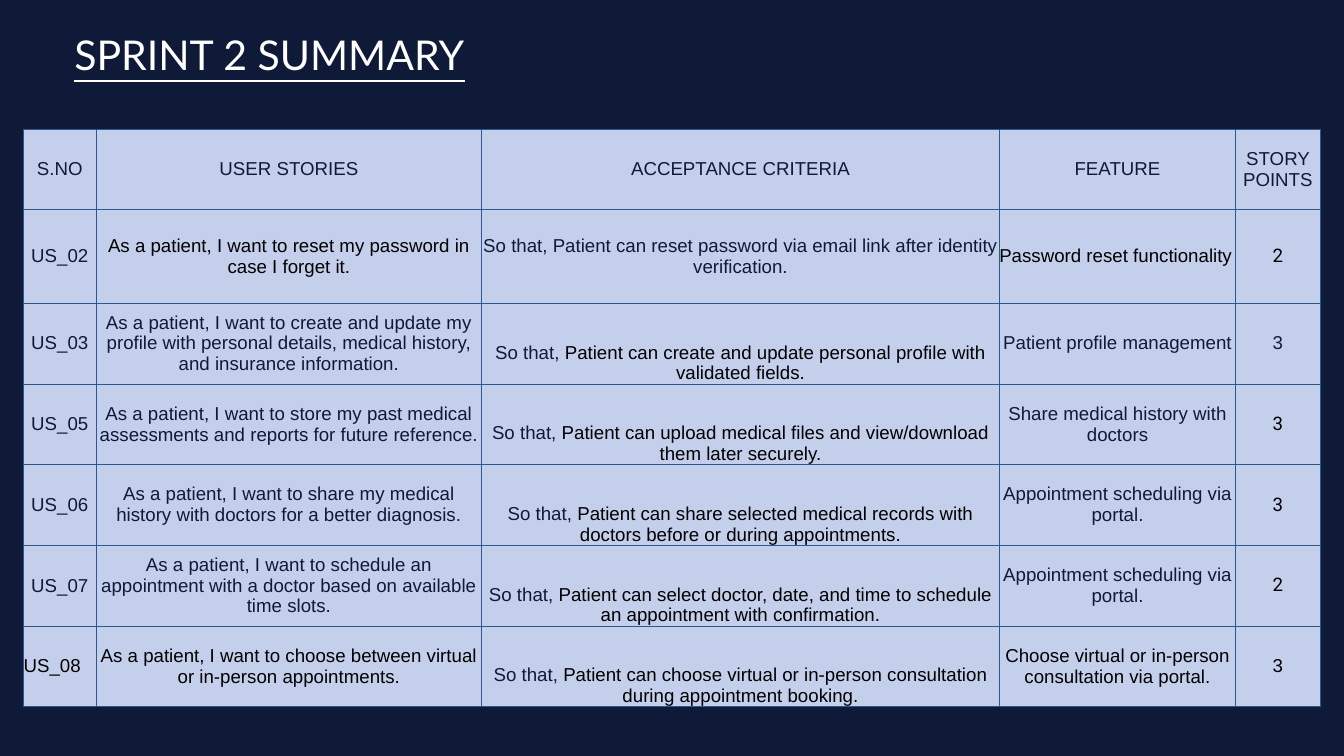
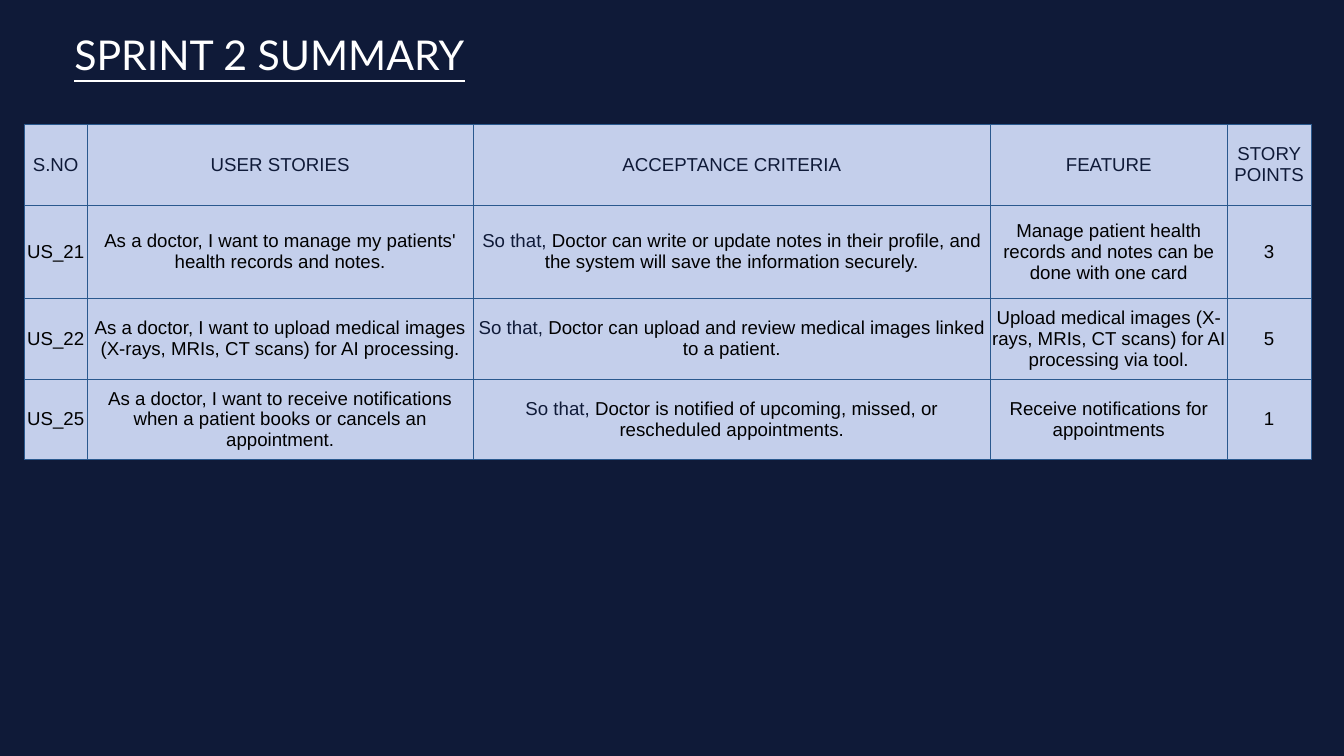
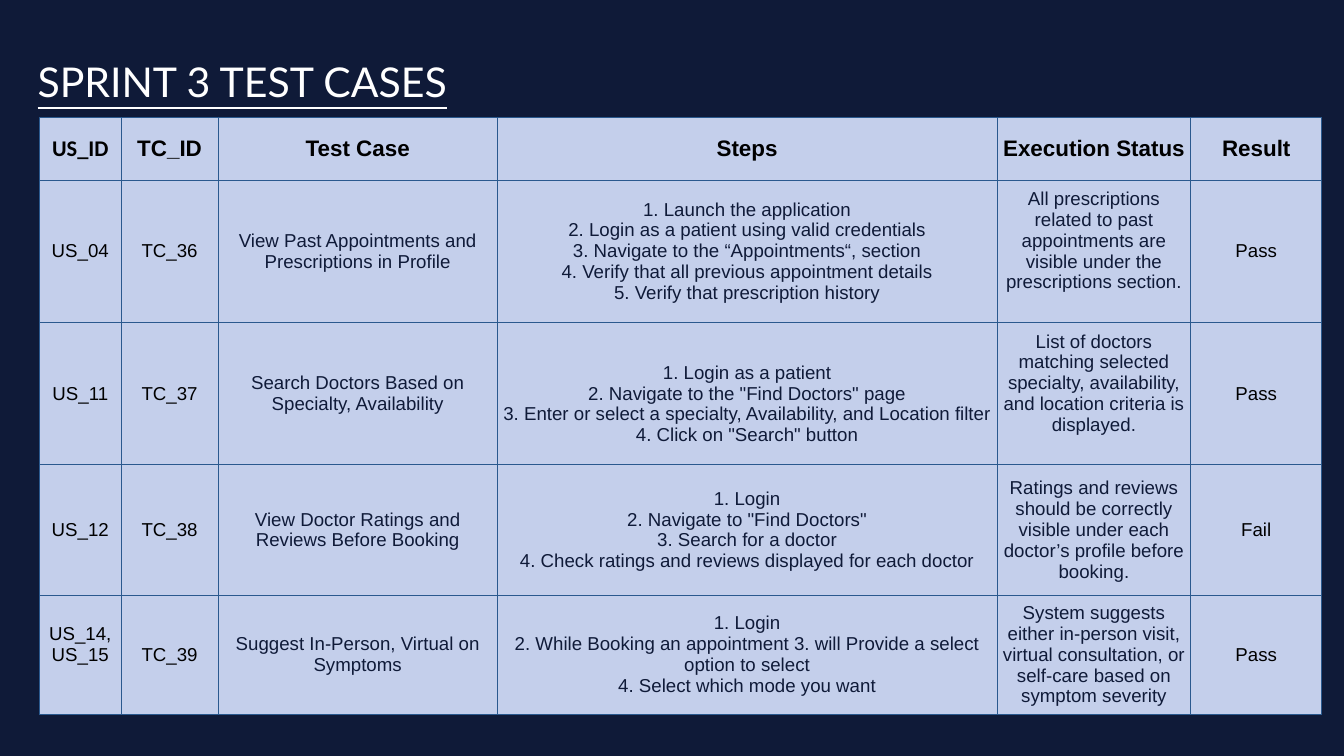
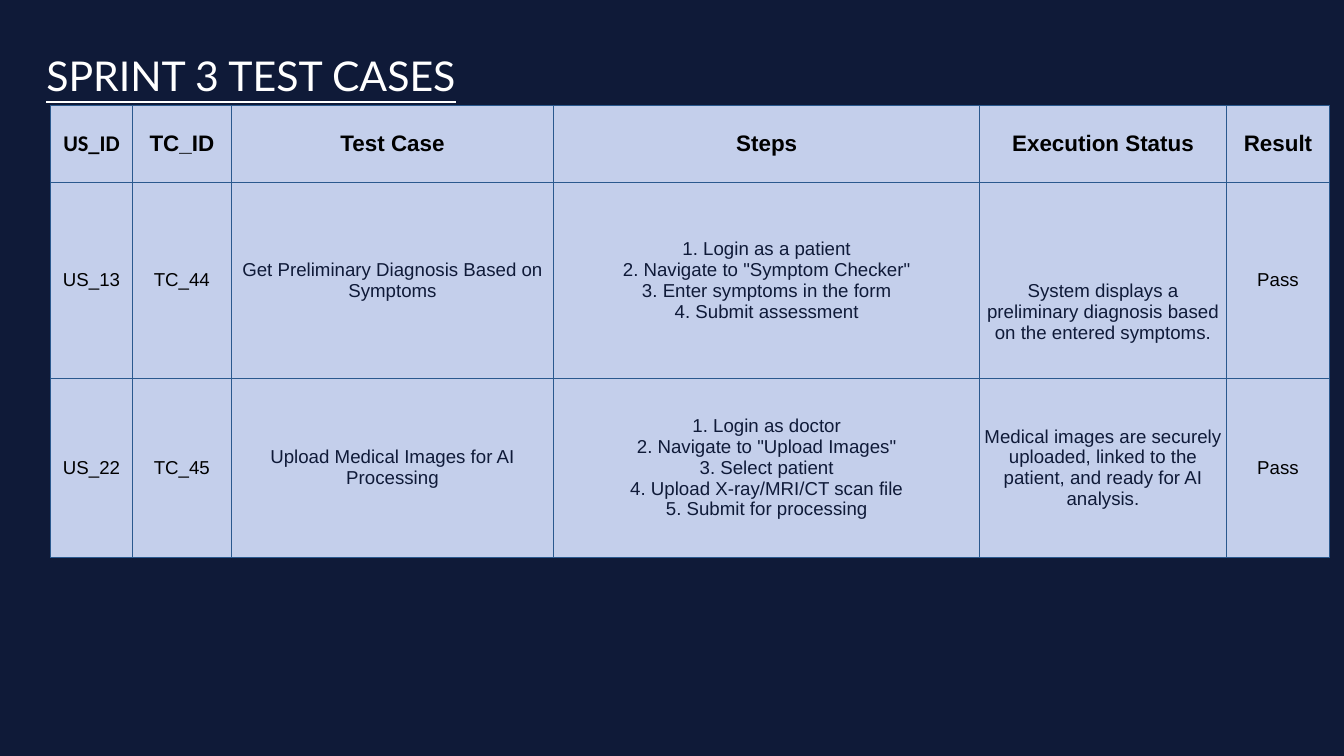
import pptx
import pptx.dml.color
import pptx.enum.text
import pptx.oxml
import pptx.oxml.ns
import pptx.util
from pptx.dml.color import RGBColor
from pptx.util import Cm

NAVY = RGBColor(0x0F, 0x1A, 0x38)
WHITE = RGBColor(0xFF, 0xFF, 0xFF)
BLACK = RGBColor(0x00, 0x00, 0x00)
CELL_BLUE = RGBColor(0xC4, 0xCF, 0xEB)
BORDER_BLUE = RGBColor(0x2A, 0x59, 0x8E)

LEFT = pptx.enum.text.PP_ALIGN.LEFT
CENTER = pptx.enum.text.PP_ALIGN.CENTER
MIDDLE = pptx.enum.text.MSO_ANCHOR.MIDDLE
BOTTOM = pptx.enum.text.MSO_ANCHOR.BOTTOM

TEXT_LINE = 0.79  # height of one table line in cm


def write(frame, text, font="Arial", size=20, color=BLACK, bold=False,
          underline=False, align=CENTER, lead="", lead_color=NAVY):
    """Fill a text frame; a newline in the text becomes a line break."""
    paragraph = frame.paragraphs[0]
    paragraph.alignment = align

    def add_words(words, words_color):
        run = paragraph.add_run()
        run.text = words
        run.font.name = font
        run.font.size = pptx.util.Pt(size)
        run.font.color.rgb = words_color
        run.font.bold = bold
        run.font.underline = underline

    if lead:
        add_words(lead, lead_color)
    for number, line in enumerate(text.split("\n")):
        if number:
            paragraph.add_line_break()
        add_words(line, color)


class Deck:
    """Holds the shared style and the slide being built."""

    def __init__(self):
        self.presentation = pptx.Presentation()
        self.presentation.slide_width = Cm(50.8)
        self.presentation.slide_height = Cm(28.58)
        self.slide = None

    def new_slide(self):
        blank = self.presentation.slide_layouts[6]
        self.slide = self.presentation.slides.add_slide(blank)
        background = self.slide.background.fill
        background.solid()
        background.fore_color.rgb = NAVY

    def title(self, text, left, top, width, align):
        box = self.slide.shapes.add_textbox(Cm(left), Cm(top), Cm(width), Cm(4.09))
        box.text_frame.word_wrap = True
        box.text_frame.vertical_anchor = MIDDLE
        write(box.text_frame, text, font="Lato", size=44, color=WHITE,
              underline=True, align=align)

    def table(self, left, top, widths, heights, header, rows, column_styles):
        """Cells are text, or (text, changes to the style of the column)."""
        grid = self.slide.shapes.add_table(
            len(heights), len(widths), Cm(left), Cm(top),
            Cm(sum(widths)), Cm(sum(heights))).table
        for column, width in zip(grid.columns, widths):
            column.width = Cm(width)
        for row, height in zip(grid.rows, heights):
            row.height = Cm(height)
        for column, content in enumerate(header):
            self.cell(grid.cell(0, column), *content)
        for row, contents in enumerate(rows, start=1):
            for column, content in enumerate(contents):
                text, changes = (content, {}) if isinstance(content, str) else content
                self.cell(grid.cell(row, column), text,
                          {**column_styles[column], **changes})

    def cell(self, cell, text, style):
        """Margins, in cm, and anchor go to the cell, the rest to its text."""
        style = dict(style)
        cell.margin_left = cell.margin_right = 0
        cell.margin_top = Cm(style.pop("above", 0))
        cell.margin_bottom = Cm(style.pop("below", 0))
        cell.vertical_anchor = style.pop("anchor", MIDDLE)
        self.border(cell)
        cell.fill.solid()
        cell.fill.fore_color.rgb = CELL_BLUE
        write(cell.text_frame, text, **style)

    def border(self, cell):
        properties = cell._tc.get_or_add_tcPr()
        for side in ("lnL", "lnR", "lnT", "lnB"):
            properties.append(pptx.oxml.parse_xml(
                f'<a:{side} {pptx.oxml.ns.nsdecls("a")} w="9525"><a:solidFill>'
                f'<a:srgbClr val="{BORDER_BLUE}"/></a:solidFill></a:{side}>'))


# Column styles and headings shared by the slides
DARK = {"color": NAVY}
PLAIN = {"color": BLACK}
SO_THAT = {"lead": "So that, "}
ROBOTO = {"font": "Roboto"}
LOWER = {"anchor": BOTTOM}
LINE_BELOW = {"below": TEXT_LINE}

STORY_HEADER = [(name, DARK) for name in (
    "S.NO", "USER STORIES", "ACCEPTANCE CRITERIA", "FEATURE", "STORY POINTS")]
STORY_WIDTHS = [14.58, 19.56, 8.94, 3.18]

HEADING = {"size": 24, "bold": True}
TEST_HEADER = [("US_ID", {**HEADING, "font": "Calibri"})] + [
    (name, HEADING) for name in (
        "TC_ID", "Test Case", "Steps", "Execution Status", "Result")]
TEST_STYLES = [PLAIN, PLAIN, DARK, DARK, DARK, PLAIN]


def sprint_summary(deck, left, top, number_width, heights, rows, styles):
    deck.new_slide()
    deck.title("SPRINT 2 SUMMARY", -0.53, 0, 21.44, CENTER)
    deck.table(left, top, [number_width] + STORY_WIDTHS, heights,
               STORY_HEADER, rows, styles)


def test_cases(deck, title_left, title_top, left, top, widths, heights, rows):
    deck.new_slide()
    deck.table(left, top, widths, heights, TEST_HEADER, rows, TEST_STYLES)
    deck.title("SPRINT 3 TEST CASES", title_left, title_top, 33.32, LEFT)


def main():
    deck = Deck()

    # Sprint 2: patient stories
    patient_stories = [
        ["US_02",
         ("As a patient, I want to reset my password in case I forget it.", PLAIN),
         ("So that, Patient can reset password via email link after identity "
          "verification.", {"lead": "", "color": NAVY, "anchor": MIDDLE}),
         ("Password reset functionality", {**PLAIN, "align": LEFT}),
         ("2", ROBOTO)],
        ["US_03",
         "As a patient, I want to create and update my profile with personal "
         "details, medical history, and insurance information.",
         "Patient can create and update personal profile with validated fields.",
         "Patient profile management",
         ("3", DARK)],
        ["US_05",
         "As a patient, I want to store my past medical assessments and reports "
         "for future reference.",
         "Patient can upload medical files and view/download them later securely.",
         "Share medical history with doctors",
         ("3", ROBOTO)],
        ["US_06",
         "As a patient, I want to share my medical history with doctors for a "
         "better diagnosis.",
         "Patient can share selected medical records with doctors before or "
         "during appointments.",
         "Appointment scheduling via portal.",
         ("3", ROBOTO)],
        ["US_07",
         "As a patient, I want to schedule an appointment with a doctor based on "
         "available time slots.",
         "Patient can select doctor, date, and time to schedule an appointment "
         "with confirmation.",
         "Appointment scheduling via portal.",
         ("2", ROBOTO)],
        [("US_08", {**PLAIN, "align": LEFT}),
         ("As a patient, I want to choose between virtual or in-person "
          "appointments.", PLAIN),
         "Patient can choose virtual or in-person consultation during "
         "appointment booking.",
         ("Choose virtual or in-person consultation via portal.", PLAIN),
         "3"],
    ]
    sprint_summary(deck, 0.89, 4.88, 2.74, [3.05, 3.53] + [3.05] * 5,
                   patient_stories, [DARK, DARK, {**SO_THAT, **LOWER}, DARK, PLAIN])

    # Sprint 2: doctor stories
    doctor_stories = [
        ["US_21",
         "As a doctor, I want to manage my patients' health records and notes.",
         "Doctor can write or update notes in their profile, and the system will "
         "save the information securely.",
         "Manage patient health records and notes can be done with one card",
         "3"],
        ["US_22",
         "As a doctor, I want to upload medical images (X-rays, MRIs, CT scans) "
         "for AI processing.",
         "Doctor can upload and review medical images linked to a patient.",
         "Upload medical images (X-rays, MRIs, CT scans) for AI processing via "
         "tool.",
         "5"],
        ["US_25",
         "As a doctor, I want to receive notifications when a patient books or "
         "cancels an appointment.",
         "Doctor is notified of upcoming, missed, or rescheduled appointments.",
         "Receive notifications for appointments",
         "1"],
    ]
    sprint_summary(deck, 0.91, 4.7, 2.39, [3.05, 3.53, 3.05, 3.05],
                   doctor_stories, [PLAIN, PLAIN, SO_THAT, PLAIN, PLAIN])

    # Sprint 3: tests of appointments and doctor search
    search_tests = [
        ["US_04", "TC_36",
         "View Past Appointments and Prescriptions in Profile",
         "1. Launch the application\n"
         "2. Login as a patient using valid credentials\n"
         "3. Navigate to the “Appointments“, section\n"
         "4. Verify that all previous appointment details\n"
         "5. Verify that prescription history",
         ("All prescriptions related to past appointments are visible under the "
          "prescriptions section.", LINE_BELOW),
         "Pass"],
        ["US_11", "TC_37",
         "Search Doctors Based on Specialty, Availability",
         ("1. Login as a patient\n"
          "2. Navigate to the \"Find Doctors\" page\n"
          "3. Enter or select a specialty, Availability, and Location filter\n"
          "4. Click on \"Search\" button", {"above": TEXT_LINE}),
         ("List of doctors matching selected specialty, availability, and "
          "location criteria is displayed.", LINE_BELOW),
         "Pass"],
        ["US_12", "TC_38",
         "View Doctor Ratings and Reviews Before Booking",
         "1. Login\n"
         "2. Navigate to \"Find Doctors\"\n"
         "3. Search for a doctor\n"
         "4. Check ratings and reviews displayed for each doctor",
         "Ratings and reviews should be correctly visible under each doctor’s "
         "profile before booking.",
         "Fail"],
        [("US_14,\nUS_15", LINE_BELOW), "TC_39",
         "Suggest In-Person, Virtual on Symptoms",
         "1. Login\n"
         "2. While Booking an appointment 3. will Provide a select option to "
         "select\n"
         "4. Select which mode you want",
         "System suggests either in-person visit, virtual consultation, or "
         "self-care based on symptom severity",
         "Pass"],
    ]
    test_cases(deck, 1.17, 1.02, 1.5, 4.45,
               [3.07, 3.68, 10.54, 18.9, 7.32, 4.95],
               [2.36, 5.38, 5.38, 4.93, 4.5], search_tests)

    # Sprint 3: tests of diagnosis and image upload
    diagnosis_tests = [
        ["US_13", "TC_44",
         "Get Preliminary Diagnosis Based on Symptoms",
         "1. Login as a patient\n"
         "2. Navigate to \"Symptom Checker\"\n"
         "3. Enter symptoms in the form\n"
         "4. Submit assessment",
         ("System displays a preliminary diagnosis based on the entered "
          "symptoms.", {"above": 3 * TEXT_LINE}),
         "Pass"],
        ["US_22", "TC_45",
         "Upload Medical Images for AI Processing",
         "1. Login as doctor\n"
         "2. Navigate to \"Upload Images\"\n"
         "3. Select patient\n"
         "4. Upload X-ray/MRI/CT scan file\n"
         "5. Submit for processing",
         "Medical images are securely uploaded, linked to the patient, and ready "
         "for AI analysis.",
         "Pass"],
    ]
    test_cases(deck, 1.5, 0.79, 1.91, 3.98,
               [3.1, 3.73, 12.19, 16.1, 9.32, 3.91],
               [2.9, 7.44, 6.73], diagnosis_tests)

    deck.presentation.save("out.pptx")


if __name__ == "__main__":
    main()
